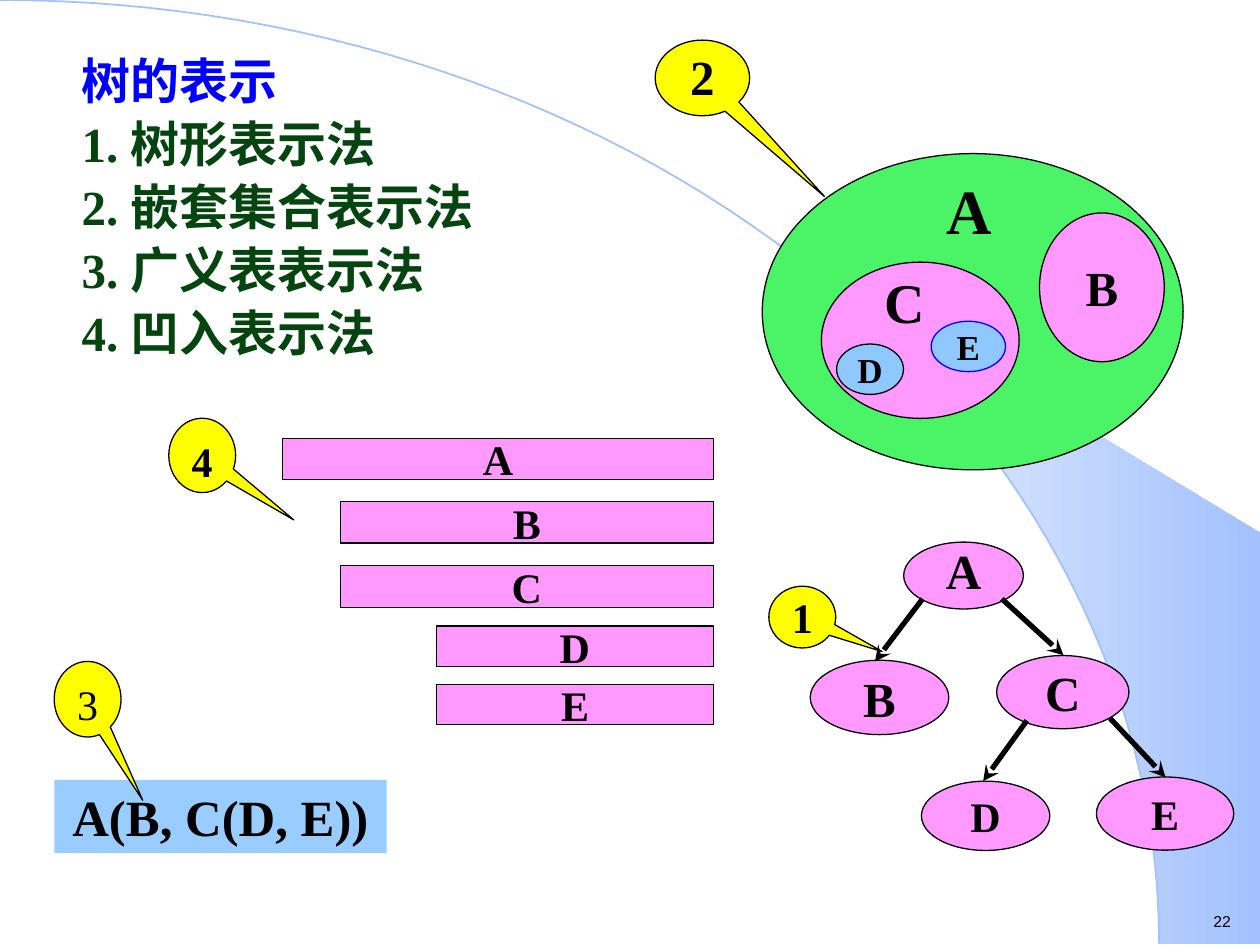
"""Build a slide on four ways to represent a tree."""
from math import asin, cos, pi, sin

from lxml.etree import SubElement
from pptx import Presentation
from pptx.dml.color import RGBColor
from pptx.enum.shapes import MSO_CONNECTOR, MSO_SHAPE
from pptx.enum.text import MSO_ANCHOR, PP_ALIGN
from pptx.oxml.ns import qn
from pptx.util import Pt

BLACK = RGBColor(0x00, 0x00, 0x00)
WHITE = RGBColor(0xFF, 0xFF, 0xFF)
BLUE = RGBColor(0x00, 0x00, 0xFF)
DARK_GREEN = RGBColor(0x04, 0x44, 0x0F)
GREEN = RGBColor(0x4B, 0xF3, 0x67)
PINK = RGBColor(0xFF, 0x99, 0xFF)
YELLOW = RGBColor(0xFF, 0xFF, 0x00)
SKY = RGBColor(0x8F, 0xC7, 0xFF)
PALE_BLUE = RGBColor(0x99, 0xCC, 0xFF)
ARC_BLUE = RGBColor(0xA2, 0xC1, 0xFE)

SERIF = "Times New Roman"
SLIDE_W, SLIDE_H = 720, 540
ARC_W, ARC_H = 662.4, 539.3
WEDGE_LEFT, WEDGE_RIGHT_TOP = 424, 304.6

TITLE = "树的表示"
METHODS = ["1. 树形表示法", "2. 嵌套集合表示法", "3. 广义表表示法", "4. 凹入表示法"]
LIST_BOX = (39.6, 23, 244, 187.2)

EXPRESSION = ("A(B, C(D, E))", (31, 445.7, 190, 41.8))

SETS = [
    ("", (435.6, 87.8, 240.5, 180.7), GREEN, BLACK, 0),
    ("", (469.4, 149.8, 113, 89.3), PINK, BLACK, 0),
    ("B", (594, 121.7, 71.3, 85), PINK, BLACK, 28),
    ("D", (478.1, 196.6, 38.2, 28.8), SKY, BLACK, 20),
    ("E", (532.1, 183.6, 42.5, 28.8), SKY, BLUE, 20),
]
SET_LABELS = [
    ("A", (537.1, 104.4, 33.8, 36.7), 36, 0.85, 0),
    ("C", (500.4, 160.6, 33.8, 29.5), 32, 0.7, 3),
]

BAR_RIGHT = 407.7
BARS = [
    ("A", 161.5, 250.6, 23.4),
    ("B", 194.6, 286.6, 23.8),
    ("C", 194.4, 323.3, 23.8),
    ("D", 249.3, 357.8, 23),
    ("E", 249.5, 391, 23),
]

NODES = [
    ("A", (516.4, 309.8, 68.4, 38.2), 28, 0.8),
    ("B", (463, 377.3, 79.2, 42.5), 28, 1),
    ("C", (569.5, 374.6, 75.6, 41.8), 28, 1),
    ("D", (526.5, 446.4, 73.4, 39.6), 24, 1),
    ("E", (626.5, 444, 78.5, 41.8), 24, 1),
]
EDGES = [
    (527.2, 342.2, 500, 378),
    (572.5, 342.2, 607.7, 374.4),
    (586.8, 411.8, 561.8, 446.4),
    (634.3, 410.4, 666, 444.2),
]

CALLOUTS = [
    ("1", (439.4, 335, 38.2, 35.3), (1.194, 0.558), 24, {},
     {"vertical_anchor": MSO_ANCHOR.MIDDLE, "margin_left": 0, "margin_right": 0,
      "margin_top": 0, "margin_bottom": 0}),
    ("2", (374.4, 23, 54, 43.2), (1.291, 1.567), 28, {"spacing": 0.8}, {}),
    ("3", (31, 378, 38.2, 43.2), (0.824, 1.336), 24, {"bold": False}, {}),
    ("4", (96.5, 239, 38.2, 42.5), (1.369, 0.868), 24, {}, {}),
]
CENTRED = {"vertical_anchor": MSO_ANCHOR.MIDDLE, "word_wrap": False}

PAGE_NUMBER = ("22", (686.2, 517.7, 25.2, 18))


def assign(target, values):
    for name, value in values.items():
        setattr(target, name, value)


def write(p, text, size, color=BLACK, bold=True, font=SERIF,
          align=PP_ALIGN.CENTER, spacing=1):
    assign(p, {"alignment": align, "line_spacing": spacing})
    r = p.add_run()
    r.text = text
    assign(r.font, {"name": font, "size": Pt(size), "bold": bold})
    r.font.color.rgb = color


def points(box):
    return [Pt(v) for v in box]


def add_figure(s, kind, box, fill, line=BLACK):
    sp = s.shapes.add_shape(kind, *points(box))
    sp.shadow.inherit = False
    sp.fill.solid()
    sp.fill.fore_color.rgb = fill
    if line is None:
        sp.line.fill.background()
    else:
        sp.line.color.rgb = line
        sp.line.width = Pt(0.75)
    sp.text_frame.word_wrap = True
    return sp


def add_label(sp, text, size, frame=CENTRED, **style):
    tf = sp.text_frame
    assign(tf, frame)
    write(tf.paragraphs[0], text, size, **style)


def add_textbox(s, box, **frame):
    tf = s.shapes.add_textbox(*points(box)).text_frame
    assign(tf, {"word_wrap": True, **frame})
    return tf


def arc(start, steps=60):
    angles = [start + (pi / 2 - start) * i / steps for i in range(steps + 1)]
    return [(ARC_W * sin(a), ARC_H * (1 - cos(a))) for a in angles]


def add_outline(s, pts, close):
    fb = s.shapes.build_freeform(*points(pts[0]), scale=1)
    fb.add_line_segments([points(pt) for pt in pts[1:]], close=close)
    sp = fb.convert_to_shape()
    sp.shadow.inherit = False
    return sp


def add_background(s):
    corners = [(SLIDE_W, ARC_H), (SLIDE_W, WEDGE_RIGHT_TOP)]
    wedge = add_outline(s, arc(asin(WEDGE_LEFT / ARC_W)) + corners, True)
    wedge.line.fill.background()
    wedge.fill.gradient()
    wedge.fill.gradient_angle = 0
    for stop, color, position in zip(wedge.fill.gradient_stops, (WHITE, ARC_BLUE), (0, 1)):
        stop.color.rgb = color
        stop.position = position
    curve = add_outline(s, arc(0), False)
    curve.fill.background()
    curve.line.color.rgb = ARC_BLUE
    curve.line.width = Pt(1)


def add_list(s):
    tf = add_textbox(s, LIST_BOX)
    for i, text in enumerate([TITLE] + METHODS):
        p = tf.add_paragraph() if i else tf.paragraphs[0]
        write(p, text, 28, DARK_GREEN if i else BLUE, align=PP_ALIGN.LEFT, spacing=Pt(36))
        pPr = p._p.get_or_add_pPr()
        pPr.set("marL", str(Pt(27)))
        pPr.set("indent", str(-Pt(27)))


def add_edge(s, ends):
    cx = s.shapes.add_connector(MSO_CONNECTOR.STRAIGHT, *points(ends))
    cx.line.color.rgb = BLACK
    cx.line.width = Pt(3)
    SubElement(cx.line._get_or_add_ln(), qn("a:tailEnd"), type="stealth")
    SubElement(cx._element.spPr, qn("a:effectLst"))


def main():
    prs = Presentation()
    prs.slide_width, prs.slide_height = Pt(SLIDE_W), Pt(SLIDE_H)
    s = prs.slides.add_slide(prs.slide_layouts[6])
    add_background(s)

    text, box = PAGE_NUMBER
    write(add_textbox(s, box, word_wrap=False).paragraphs[0], text, 9,
          bold=False, font="Arial", align=PP_ALIGN.LEFT)

    text, box = EXPRESSION
    sp = add_figure(s, MSO_SHAPE.RECTANGLE, box, PALE_BLUE, None)
    add_label(sp, text, 29, {"vertical_anchor": MSO_ANCHOR.TOP})
    add_list(s)

    for text, box, fill, line, size in SETS:
        sp = add_figure(s, MSO_SHAPE.OVAL, box, fill, line)
        if text:
            add_label(sp, text, size)
    for text, box, size, spacing, top in SET_LABELS:
        tf = add_textbox(s, box, margin_left=0, margin_right=0,
                         margin_top=Pt(top), margin_bottom=0)
        write(tf.paragraphs[0], text, size, spacing=spacing)

    for text, left, top, height in BARS:
        box = (left, top, BAR_RIGHT - left, height)
        add_label(add_figure(s, MSO_SHAPE.RECTANGLE, box, PINK), text, 24)

    for text, box, size, spacing in NODES:
        add_label(add_figure(s, MSO_SHAPE.OVAL, box, PINK), text, size, spacing=spacing)
    for ends in EDGES:
        add_edge(s, ends)

    for text, box, tip, size, style, frame in CALLOUTS:
        sp = add_figure(s, MSO_SHAPE.OVAL_CALLOUT, box, YELLOW)
        sp.adjustments[0], sp.adjustments[1] = tip
        add_label(sp, text, size, {"vertical_anchor": MSO_ANCHOR.TOP, **frame}, **style)

    prs.save("out.pptx")


if __name__ == "__main__":
    main()
